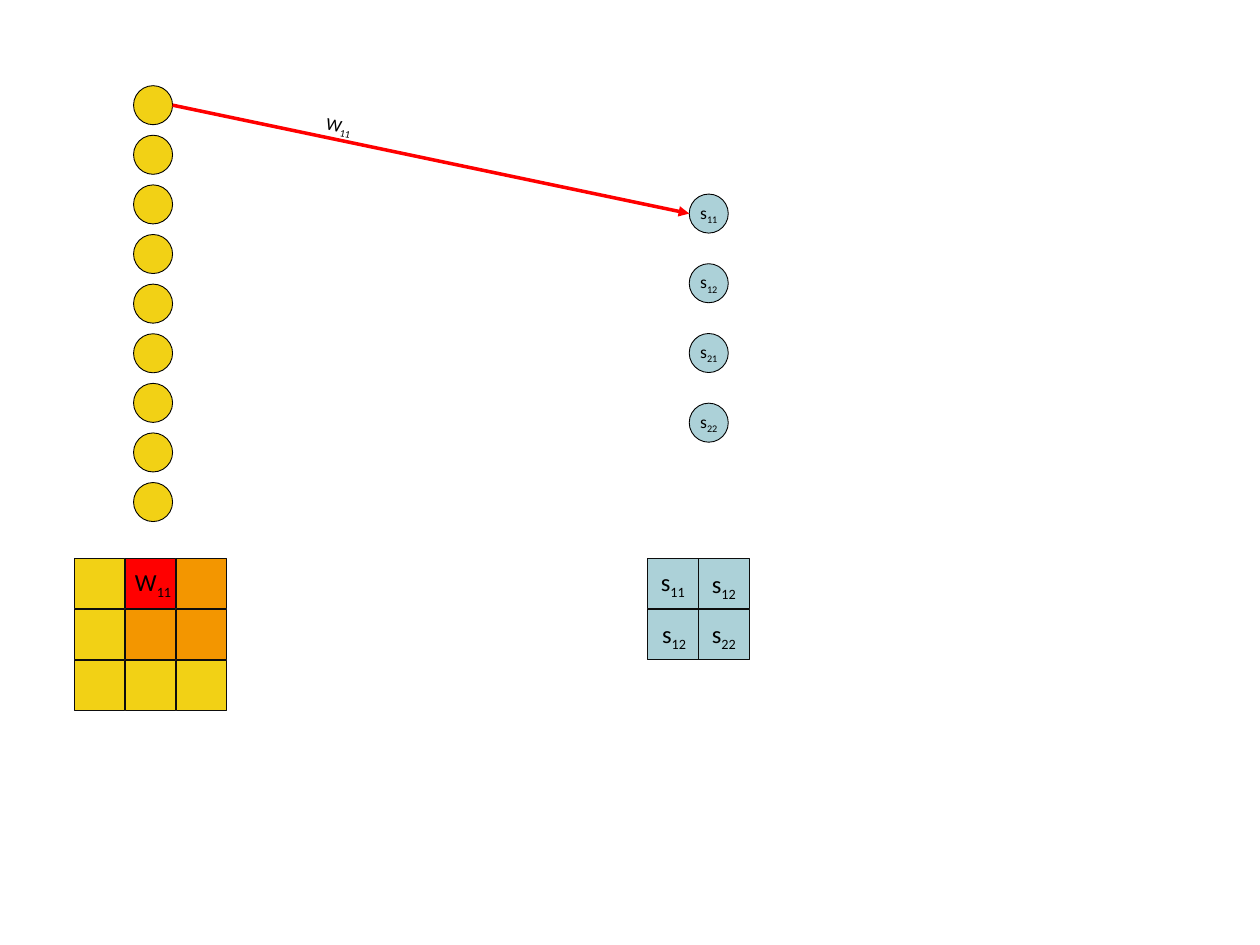
from dataclasses import dataclass
from typing import Any, Optional

from lxml.etree import SubElement
from pptx import Presentation
from pptx.dml.color import RGBColor
from pptx.enum.shapes import MSO_CONNECTOR, MSO_SHAPE
from pptx.enum.text import MSO_ANCHOR, MSO_AUTO_SIZE, PP_ALIGN
from pptx.oxml.ns import qn
from pptx.util import Inches, Pt

YELLOW, ORANGE, RED, BLUE = "F2D115", "F39600", "FF0000", "ACD1D8"
BLACK, CELL_LINE = "000000", "0D0D0D"

NODE = 0.31
CELL = 0.4
CELL_PITCH = 0.405
GRID_TOP = 4.43

INPUT_LEFT, INPUT_TOP, INPUT_PITCH = 1.06, 0.68, 3.15 / 8
OUTPUT_LEFT, OUTPUT_TOP, OUTPUT_PITCH = 5.47, 1.54, 1.66 / 3


@dataclass(frozen=True)
class Label:
    base: str
    subscript: str
    size: int = 14
    left_inset: float = 0
    top_inset: float = 0


@dataclass(frozen=True)
class Cell:
    fill: str
    label: Optional[Label] = None


INPUT_GRID = [
    [Cell(YELLOW), Cell(RED, Label("W", "11", left_inset=0.04)), Cell(ORANGE)],
    [Cell(YELLOW), Cell(ORANGE), Cell(ORANGE)],
    [Cell(YELLOW), Cell(YELLOW), Cell(YELLOW)],
]
OUTPUT_GRID = [
    [Cell(BLUE, Label("s", "11")), Cell(BLUE, Label("s", "12", top_inset=0.04))],
    [Cell(BLUE, Label("s", "12", left_inset=0.02, top_inset=0.02)),
     Cell(BLUE, Label("s", "22", top_inset=0.02))],
]
OUTPUT_NODES = [Label("s", number, 10) for number in ("11", "12", "21", "22")]


def rgb(value: str) -> RGBColor:
    return RGBColor.from_string(value)


def write_label(text_frame: Any, label: Label) -> None:
    paragraph = text_frame.paragraphs[0]
    paragraph.alignment = PP_ALIGN.CENTER
    for text in (label.base, label.subscript):
        run = paragraph.add_run()
        run.text = text
        run.font.name = "Calibri"
        run.font.size = Pt(label.size)
        run.font.color.rgb = rgb(BLACK)
    run._r.get_or_add_rPr().set("baseline", "-25000")


def add_filled(shapes: Any, kind: MSO_SHAPE, left: float, top: float, size: float,
               line: str, cell: Cell) -> None:
    """Draw a square or circle, with its label centred inside."""
    shape = shapes.add_shape(kind, Inches(left), Inches(top), Inches(size), Inches(size))
    shape.shadow.inherit = False
    shape.fill.solid()
    shape.fill.fore_color.rgb = rgb(cell.fill)
    shape.line.color.rgb = rgb(line)
    shape.line.width = Pt(0.5)
    if cell.label:
        frame = shape.text_frame
        frame.margin_left = Inches(cell.label.left_inset)
        frame.margin_top = Inches(cell.label.top_inset)
        frame.margin_right = frame.margin_bottom = 0
        frame.vertical_anchor = MSO_ANCHOR.MIDDLE
        write_label(frame, cell.label)


def add_nodes(shapes: Any, left: float, top: float, pitch: float, nodes: list[Cell]) -> None:
    for index, node in enumerate(nodes):
        add_filled(shapes, MSO_SHAPE.OVAL, left, top + index * pitch, NODE, BLACK, node)


def add_grid(shapes: Any, left: float, grid: list[list[Cell]]) -> None:
    for row, cells in enumerate(grid):
        for column, cell in enumerate(cells):
            add_filled(shapes, MSO_SHAPE.RECTANGLE, left + column * CELL_PITCH,
                       GRID_TOP + row * CELL_PITCH, CELL, CELL_LINE, cell)


def add_weight_arrow(shapes: Any) -> None:
    arrow = shapes.add_connector(
        MSO_CONNECTOR.STRAIGHT,
        Inches(INPUT_LEFT + NODE), Inches(INPUT_TOP + NODE / 2),
        Inches(OUTPUT_LEFT), Inches(OUTPUT_TOP + NODE / 2))
    arrow.line.color.rgb = rgb(RED)
    arrow.line.width = Pt(2)
    SubElement(arrow.line._get_or_add_ln(), qn("a:tailEnd"), type="triangle")
    SubElement(arrow._element.spPr, qn("a:effectLst"))


def add_weight_label(shapes: Any) -> None:
    box = shapes.add_textbox(Inches(2.18), Inches(0.86), Inches(1.02), Inches(0.29))
    box.rotation = 12.2
    box.text_frame.word_wrap = True
    box.text_frame.auto_size = MSO_AUTO_SIZE.SHAPE_TO_FIT_TEXT
    write_label(box.text_frame, Label("W", "11", 10))


def main() -> None:
    presentation = Presentation()
    presentation.slide_width, presentation.slide_height = Inches(10), Inches(7.5)
    slide = presentation.slides.add_slide(presentation.slide_layouts[6])
    shapes = slide.shapes

    add_nodes(shapes, INPUT_LEFT, INPUT_TOP, INPUT_PITCH, [Cell(YELLOW)] * 9)
    add_grid(shapes, 0.59, INPUT_GRID)
    add_nodes(shapes, OUTPUT_LEFT, OUTPUT_TOP, OUTPUT_PITCH,
              [Cell(BLUE, label) for label in OUTPUT_NODES])
    add_grid(shapes.add_group_shape().shapes, 5.14, OUTPUT_GRID)
    add_weight_arrow(shapes)
    add_weight_label(shapes)

    presentation.save("out.pptx")


if __name__ == "__main__":
    main()
